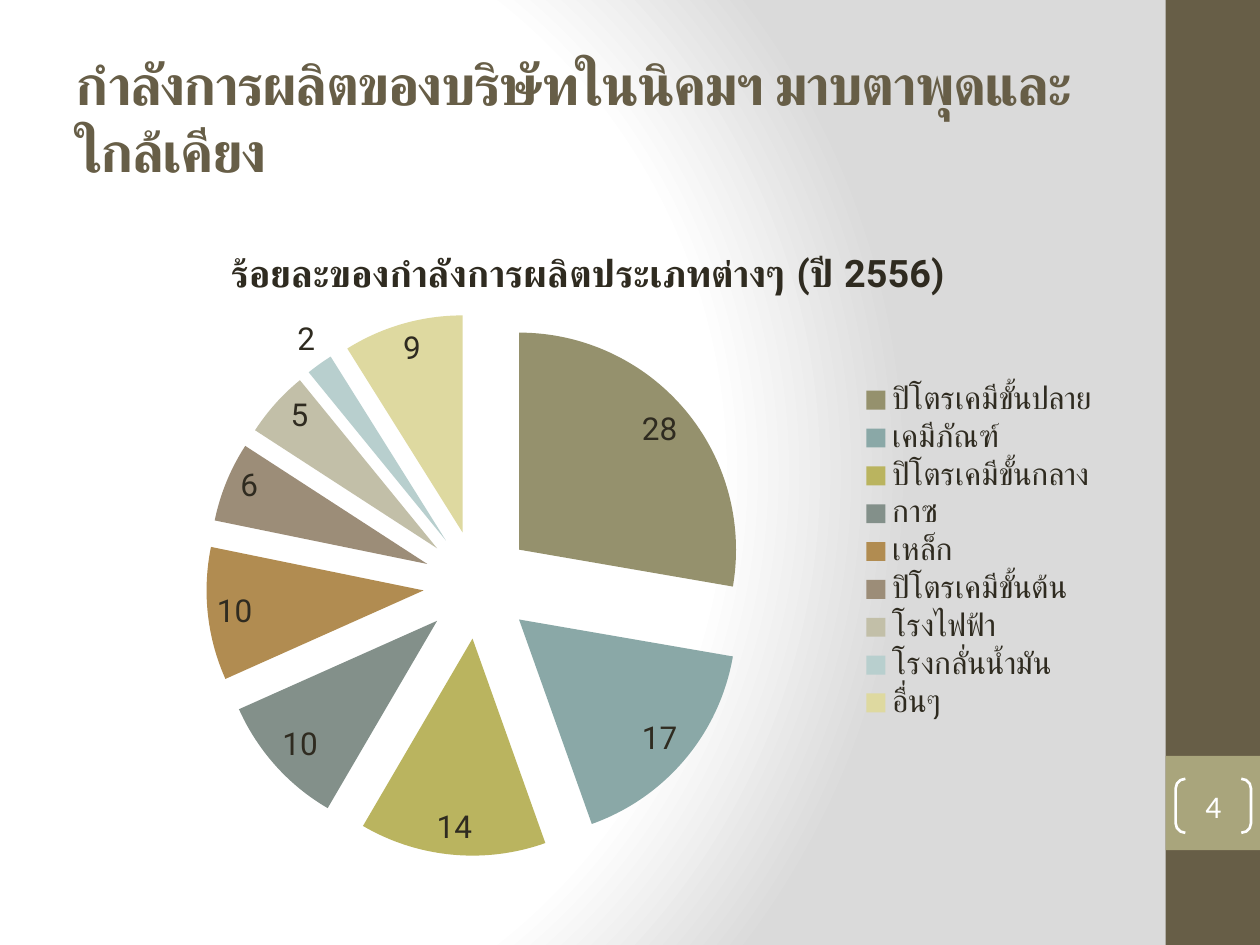
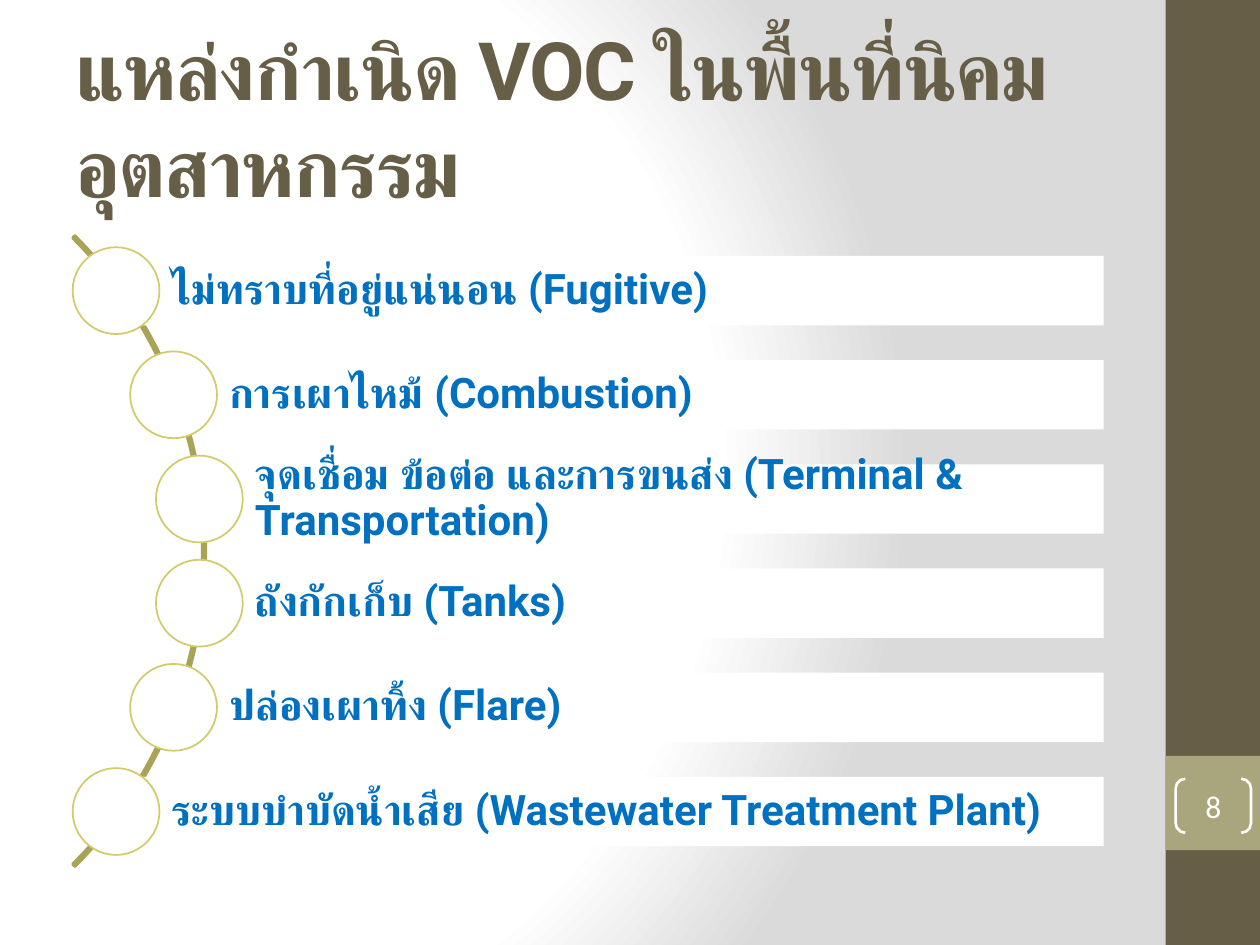
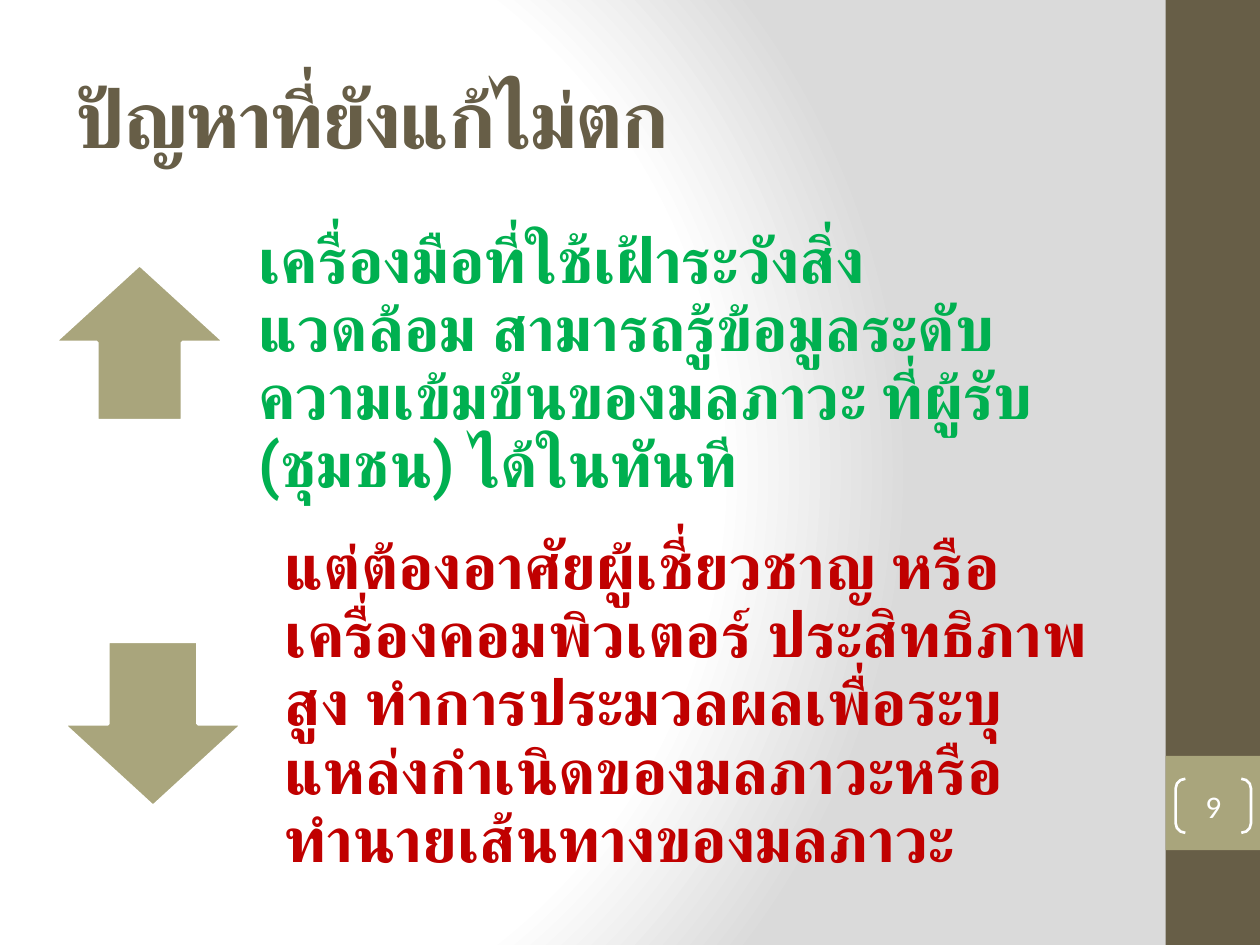
from dataclasses import dataclass

from lxml import etree
from pptx import Presentation
from pptx.chart.data import CategoryChartData
from pptx.dml.color import RGBColor
from pptx.enum.chart import XL_CHART_TYPE, XL_LABEL_POSITION, XL_LEGEND_POSITION
from pptx.enum.lang import MSO_LANGUAGE_ID
from pptx.enum.shapes import MSO_SHAPE
from pptx.enum.text import MSO_ANCHOR, PP_ALIGN
from pptx.oxml import parse_xml
from pptx.oxml.ns import nsdecls, qn
from pptx.util import Cm, Pt

RECTANGLE = MSO_SHAPE.RECTANGLE
OVAL = MSO_SHAPE.OVAL
BLOCK_ARC = MSO_SHAPE.BLOCK_ARC
BRACKETS = MSO_SHAPE.DOUBLE_BRACKET
UP_ARROW = MSO_SHAPE.UP_ARROW
DOWN_ARROW = MSO_SHAPE.DOWN_ARROW
MIDDLE = MSO_ANCHOR.MIDDLE
LEFT = PP_ALIGN.LEFT
CENTER = PP_ALIGN.CENTER
THAI = MSO_LANGUAGE_ID.THAI
PIE = XL_CHART_TYPE.PIE
LEGEND_RIGHT = XL_LEGEND_POSITION.RIGHT
BEST_FIT = XL_LABEL_POSITION.BEST_FIT

FONT = "Roboto"
NUMBER_FONT = "Calibri"
WHITE = "FFFFFF"
EDGE_GREY = "DADADA"
BROWN = "675E47"
OLIVE = "A9A57C"
DARK_TEXT = "2F2B20"
ARC_LINE = "A8A356"
CIRCLE_LINE = "D2CB6C"
BLUE = "0070C0"
GREEN = "00B050"
RED = "C00000"


@dataclass(frozen=True)
class Box:
    """Place and size in centimetres."""
    left: float
    top: float
    width: float
    height: float

    def lengths(self) -> tuple:
        return Cm(self.left), Cm(self.top), Cm(self.width), Cm(self.height)


@dataclass(frozen=True)
class Slice:
    label: str
    percent: int
    color: str


@dataclass(frozen=True)
class Source:
    label: str
    left: float


@dataclass(frozen=True)
class Point:
    arrow: int
    arrow_box: Box
    text: str
    text_box: Box
    color: str


TITLE_BOX = Box(1.27, 0.76, 21.16, 3.18)
SIDE_BAND = Box(23.5, 0, 1.9, 19.05)
NUMBER_BAND = Box(23.5, 15.24, 1.9, 1.9)
NUMBER_BOX = Box(23.7, 15.7, 1.52, 1.09)
CHART_BOX = Box(1.27, 4.45, 21.16, 13.34)
ARC_BOX = Box(-13.82, 2.13, 17.96, 17.96)
BAR_TOP, BAR_PITCH, BAR_HEIGHT, BAR_RIGHT = 5.16, 2.1, 1.4, 22.25
CIRCLE_SIZE = 1.75

SLICES = [
    Slice("ปิโตรเคมีขั้นปลาย", 28, "95916D"),
    Slice("เคมีภัณฑ์", 17, "8AA8A7"),
    Slice("ปิโตรเคมีขั้นกลาง", 14, "BAB45F"),
    Slice("กาซ", 10, "83908A"),
    Slice("เหล็ก", 10, "B18C51"),
    Slice("ปิโตรเคมีขั้นต้น", 6, "9C8D78"),
    Slice("โรงไฟฟ้า", 5, "C2BFA8"),
    Slice("โรงกลั่นน้ำมัน", 2, "B8CFCE"),
    Slice("อื่นๆ", 9, "DED9A0"),
]
SOURCES = [
    Source("ไม่ทราบที่อยู่แน่นอน (Fugitive)", 2.34),
    Source("การเผาไหม้ (Combustion)", 3.5),
    Source("จุดเชื่อม ข้อต่อ และการขนส่ง (Terminal & Transportation)", 4.02),
    Source("ถังกักเก็บ (Tanks)", 4.02),
    Source("ปล่องเผาทิ้ง (Flare)", 3.5),
    Source("ระบบบำบัดน้ำเสีย (Wastewater Treatment Plant)", 2.34),
]
POINTS = [
    Point(UP_ARROW, Box(1.09, 5.33, 3.45, 3.15),
          "เครื่องมือที่ใช้เฝ้าระวังสิ่งแวดล้อม สามารถรู้ข้อมูลระดับความเข้มข้นของมลภาวะ "
          "ที่ผู้รับ (ชุมชน) ได้ในทันที",
          Box(4.5, 4.52, 17.96, 6.4), GREEN),
    Point(DOWN_ARROW, Box(1.27, 12.93, 3.63, 3.33),
          "แต่ต้องอาศัยผู้เชี่ยวชาญ หรือเครื่องคอมพิวเตอร์ ประสิทธิภาพสูง "
          "ทำการประมวลผลเพื่อระบุแหล่งกำเนิดของมลภาวะหรือทำนายเส้นทางของมลภาวะ",
          Box(5.03, 11.38, 18.08, 6.4), RED),
]


def rgb(color: str) -> RGBColor:
    return RGBColor.from_string(color)


def add_shape(slide, kind: int, box: Box, fill: str = "", line: str = "",
              line_width: float = 1, adjustments: tuple = ()):
    shape = slide.shapes.add_shape(kind, *box.lengths())
    shape.shadow.inherit = False
    if fill:
        shape.fill.solid()
        shape.fill.fore_color.rgb = rgb(fill)
    else:
        shape.fill.background()
    if line:
        shape.line.color.rgb = rgb(line)
        shape.line.width = Pt(line_width)
    else:
        shape.line.fill.background()
    for index, value in enumerate(adjustments):
        shape.adjustments[index] = value
    return shape


def write_text(shape, text: str, *, size: float, color: str, font: str = FONT,
               bold: bool = True, align: int = LEFT, line_spacing: float = 1.0,
               insets: tuple = (0.25, 0.13, 0.25, 0.13), tracking: int = 0) -> None:
    """Fill a shape with one paragraph; tracking is in hundredths of a point."""
    frame = shape.text_frame
    frame.word_wrap = True
    frame.vertical_anchor = MIDDLE
    (frame.margin_left, frame.margin_top,
     frame.margin_right, frame.margin_bottom) = map(Cm, insets)
    paragraph = frame.paragraphs[0]
    paragraph.alignment = align
    paragraph.line_spacing = line_spacing
    run = paragraph.add_run()
    run.text = text
    run.font.size = Pt(size)
    run.font.bold = bold
    run.font.name = font
    run.font.color.rgb = rgb(color)
    run.font.language_id = THAI
    properties = run._r.get_or_add_rPr()
    etree.SubElement(properties, qn("a:cs")).set("typeface", font)
    if tracking:
        properties.set("spc", str(tracking))


def set_background(master) -> None:
    """Give the master a radial gradient that darkens towards the right."""
    master.background.fill.gradient()
    stops = "".join(
        f'<a:gs pos="{position}"><a:srgbClr val="{color}"/></a:gs>'
        for position, color in ((0, WHITE), (75000, WHITE), (100000, EDGE_GREY)))
    gradient = parse_xml(
        f'<a:gradFill {nsdecls("a")} rotWithShape="1"><a:gsLst>{stops}</a:gsLst>'
        '<a:path path="circle"><a:fillToRect l="20000" t="50000" r="100000" b="50000"/>'
        '</a:path></a:gradFill>')
    current = master.element.find(".//" + qn("p:bgPr")).find(qn("a:gradFill"))
    current.getparent().replace(current, gradient)


def add_slide(presentation, title: str, title_size: float, number: int):
    slide = presentation.slides.add_slide(presentation.slide_layouts[6])
    add_shape(slide, RECTANGLE, SIDE_BAND, fill=BROWN)
    add_shape(slide, RECTANGLE, NUMBER_BAND, fill=OLIVE)
    brackets = add_shape(slide, BRACKETS, NUMBER_BOX, line=WHITE, line_width=1.5,
                         adjustments=(0.18,))
    write_text(brackets, str(number), size=18, color=WHITE, font=NUMBER_FONT,
               bold=False, align=CENTER, insets=(0, 0, 0, 0))
    title_box = slide.shapes.add_textbox(*TITLE_BOX.lengths())
    write_text(title_box, title, size=title_size, color=BROWN, tracking=-100)
    return slide


def place_plot(chart, **fractions: float) -> None:
    """Fix the inner plot area as fractions of the chart."""
    plot_area = chart.element.find(".//" + qn("c:plotArea"))
    for layout in plot_area.findall(qn("c:layout")):
        plot_area.remove(layout)
    sizes = "".join(f'<c:{name} val="{value}"/>' for name, value in fractions.items())
    plot_area.insert(0, parse_xml(
        f'<c:layout {nsdecls("c")}><c:manualLayout><c:layoutTarget val="inner"/>'
        f'<c:xMode val="edge"/><c:yMode val="edge"/>{sizes}</c:manualLayout></c:layout>'))


def add_capacity_chart(slide) -> None:
    data = CategoryChartData()
    data.categories = [item.label for item in SLICES]
    data.add_series("Series 1", [item.percent for item in SLICES])
    chart = slide.shapes.add_chart(PIE, *CHART_BOX.lengths(), data).chart
    chart.font.name = FONT
    chart.font.size = Pt(18)
    chart.font.color.rgb = rgb(DARK_TEXT)

    chart.has_title = True
    title = chart.chart_title.text_frame
    title.text = "ร้อยละของกำลังการผลิตประเภทต่างๆ (ปี 2556)"
    title_font = title.paragraphs[0].runs[0].font
    title_font.name = FONT
    title_font.size = Pt(21.6)
    title_font.bold = True
    title_font.color.rgb = rgb(DARK_TEXT)

    chart.has_legend = True
    chart.legend.position = LEGEND_RIGHT
    chart.legend.include_in_layout = False

    plot = chart.plots[0]
    plot.vary_by_categories = True
    plot.has_data_labels = True
    plot.data_labels.show_value = True
    plot.data_labels.position = BEST_FIT
    for index, item in enumerate(SLICES):
        fill = plot.series[0].points[index].format.fill
        fill.solid()
        fill.fore_color.rgb = rgb(item.color)
    first_point = chart.element.find(".//" + qn("c:dPt"))
    first_point.addprevious(parse_xml(f'<c:explosion {nsdecls("c")} val="25"/>'))
    place_plot(chart, x=0.02, y=0.14, w=0.75, h=0.82)


def add_source_list(slide) -> None:
    add_shape(slide, BLOCK_ARC, ARC_BOX, line=ARC_LINE, line_width=2,
              adjustments=(189, 27, 0.003))
    for index, source in enumerate(SOURCES):
        top = BAR_TOP + index * BAR_PITCH
        bar = add_shape(slide, RECTANGLE,
                        Box(source.left, top, BAR_RIGHT - source.left, BAR_HEIGHT),
                        fill=WHITE)
        write_text(bar, source.label, size=24, color=BLUE, line_spacing=0.9,
                   insets=(1.12, 0.18, 0.18, 0.18))
        circle_box = Box(source.left - CIRCLE_SIZE / 2,
                         top + (BAR_HEIGHT - CIRCLE_SIZE) / 2, CIRCLE_SIZE, CIRCLE_SIZE)
        add_shape(slide, OVAL, circle_box, fill=WHITE, line=CIRCLE_LINE)


def add_points(slide) -> None:
    for point in POINTS:
        add_shape(slide, point.arrow, point.arrow_box, fill=OLIVE, line=WHITE,
                  line_width=2)
        text_box = slide.shapes.add_textbox(*point.text_box.lengths())
        write_text(text_box, point.text, size=36, color=point.color,
                   line_spacing=0.9, insets=(0.71, 0, 0.71, 0.71))


def main() -> None:
    presentation = Presentation()
    presentation.slide_width = Cm(25.4)
    presentation.slide_height = Cm(19.05)
    set_background(presentation.slide_master)
    add_capacity_chart(add_slide(
        presentation, "กำลังการผลิตของบริษัทในนิคมฯ มาบตาพุดและใกล้เคียง", 32, 4))
    add_source_list(add_slide(
        presentation, "แหล่งกำเนิด VOC ในพื้นที่นิคมอุตสาหกรรม", 46, 8))
    add_points(add_slide(presentation, "ปัญหาที่ยังแก้ไม่ตก", 46, 9))
    presentation.save("out.pptx")


if __name__ == "__main__":
    main()
